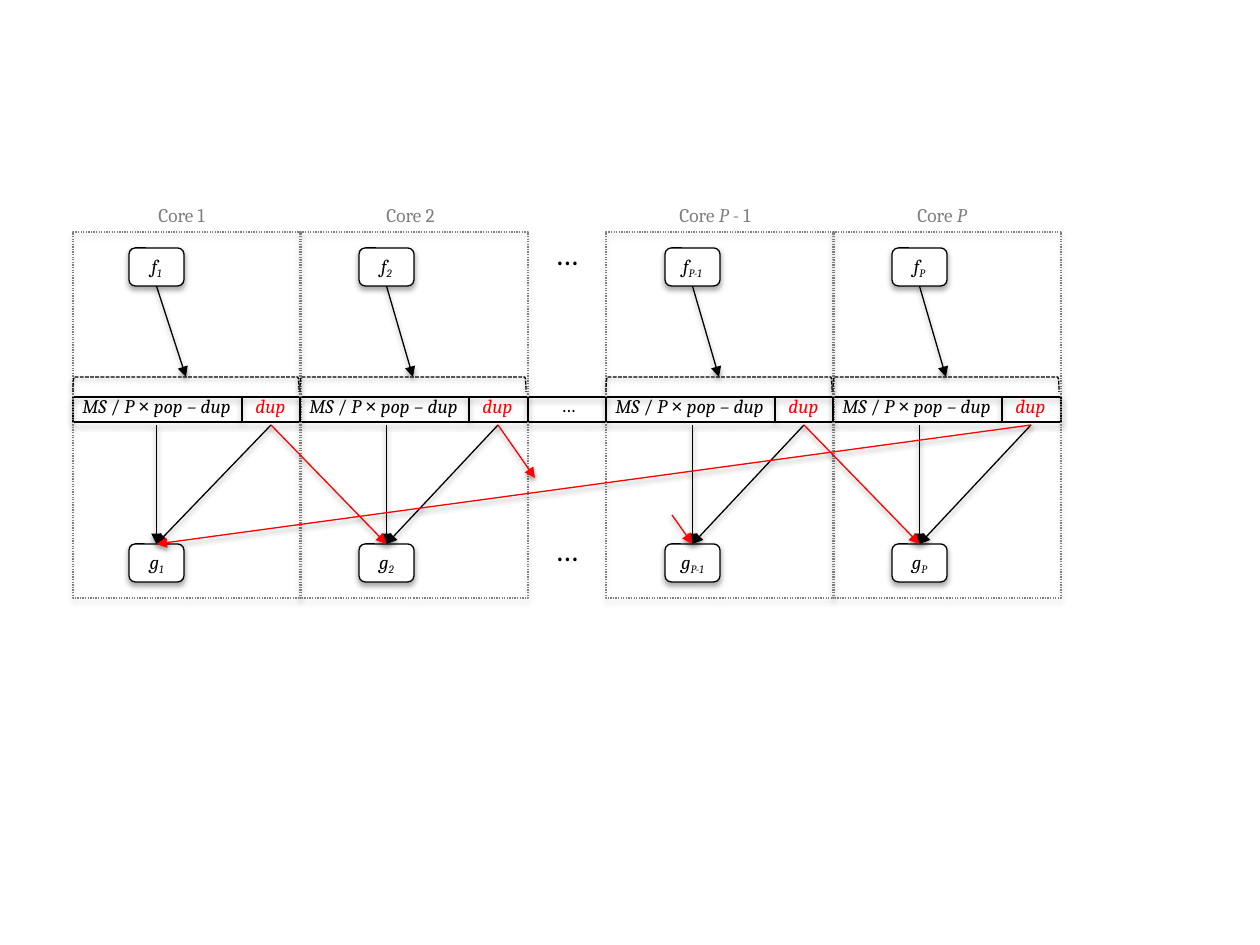
import pptx
import pptx.dml.color
import pptx.enum.dml
import pptx.enum.shapes
import pptx.enum.text
import pptx.oxml
import pptx.oxml.ns
import pptx.util

SCALE = 914400 / 126
BLACK = pptx.dml.color.RGBColor(0x00, 0x00, 0x00)
WHITE = pptx.dml.color.RGBColor(0xFF, 0xFF, 0xFF)
RED = pptx.dml.color.RGBColor(0xFF, 0x00, 0x00)
GRAY = pptx.dml.color.RGBColor(0x7F, 0x7F, 0x7F)
SHAPES = pptx.enum.shapes.MSO_SHAPE
DASHES = pptx.enum.dml.MSO_LINE
ALIGN = pptx.enum.text.PP_ALIGN

ITALIC = {"italic": True}
CORE_WIDTH = 228
NODE_WIDTH, NODE_HEIGHT = 55, 38
F_TOP, G_TOP = 248, 544
BUFFER_TOP, BUFFER_BOTTOM = 397, 422
OUTPUT_TOP = 425
BRACKET_TOP = 377
DUP_OFFSET = 198

# left edge, node left edge, node subscript, label left edge, label width, label runs
CORES = [
    (73, 129, "1", 146, 79, [("Core 1", {})]),
    (300, 359, "2", 374, 79, [("Core 2", {})]),
    (606, 665, "P-1", 667, 106, [("Core ", {}), ("P ", ITALIC), ("- 1", {})]),
    (833, 892, "P", 905, 83, [("Core ", {}), ("P", ITALIC)]),
]
SHARE_RUNS = [("MS", ITALIC), (" / ", {}), ("P ", ITALIC),
              ("×", {"name": "Arial"}), (" pop – dup", ITALIC)]


def emu(*pixels):
    """Turn pixel lengths into EMU."""
    return [pptx.util.Emu(round(value * SCALE)) for value in pixels]


def add_shadow(shape, opacity, distance):
    """Give a shape or connector a soft shadow straight below it."""
    shape._element.spPr.append(pptx.oxml.parse_xml(
        f'<a:effectLst {pptx.oxml.ns.nsdecls("a")}>'
        f'<a:outerShdw blurRad="39370" dist="{round(distance * 12700)}" dir="5400000" '
        f'rotWithShape="0"><a:srgbClr val="000000"><a:alpha val="{opacity * 1000}"/>'
        '</a:srgbClr></a:outerShdw></a:effectLst>'))


def write_runs(shape, runs, size, color, align):
    """Write one paragraph of formatted runs without wrapping."""
    frame = shape.text_frame
    frame.word_wrap = False
    paragraph = frame.paragraphs[0]
    paragraph.alignment = align
    for text, changes in runs:
        run = paragraph.add_run()
        run.text = text
        values = {"name": "Cambria", "size": pptx.util.Pt(size), "italic": False, **changes}
        baseline = values.pop("baseline", None)
        for key, value in values.items():
            setattr(run.font, key, value)
        run.font.color.rgb = color
        if baseline:
            run._r.get_or_add_rPr().set("baseline", str(baseline))


def add_label(slide, box, runs, size=11, color=BLACK, align=ALIGN.LEFT):
    """Add a text box."""
    shape = slide.shapes.add_textbox(*emu(*box))
    shape.text_frame.auto_size = pptx.enum.text.MSO_AUTO_SIZE.SHAPE_TO_FIT_TEXT
    write_runs(shape, runs, size, color, align)


def add_outline(slide, kind, box, color=BLACK, dash=None, fill=None, shadow=(35, 1.8)):
    """Add a preset shape with a thin outline."""
    shape = slide.shapes.add_shape(kind, *emu(*box))
    if fill is None:
        shape.fill.background()
    else:
        shape.fill.solid()
        shape.fill.fore_color.rgb = fill
    shape.line.color.rgb = color
    shape.line.width = pptx.util.Pt(0.75)
    shape.line.dash_style = dash
    add_shadow(shape, *shadow)
    return shape


def add_node(slide, left, top, letter, subscript):
    """Add a rounded box that names a function with its subscript."""
    box = (left, top, NODE_WIDTH, NODE_HEIGHT)
    shape = add_outline(slide, SHAPES.ROUNDED_RECTANGLE, box, fill=WHITE)
    shape.text_frame.vertical_anchor = pptx.enum.text.MSO_ANCHOR.MIDDLE
    runs = [(letter, ITALIC), (subscript, {"italic": True, "baseline": -25000})]
    write_runs(shape, runs, 11, BLACK, ALIGN.CENTER)


def add_line(slide, start, end, color=BLACK, arrow=True):
    """Add a straight line, with an arrowhead at its end if wanted."""
    line = slide.shapes.add_connector(
        pptx.enum.shapes.MSO_CONNECTOR.STRAIGHT, *emu(*start, *end))
    line.line.color.rgb = color
    line.line.width = pptx.util.Pt(0.75)
    if arrow:
        line.line._get_or_add_ln().append(pptx.oxml.parse_xml(
            f'<a:tailEnd {pptx.oxml.ns.nsdecls("a")} type="triangle"/>'))
    add_shadow(line, 38, 1.6)


def add_bracket(slide, left):
    """Add a dashed bracket that spans the buffer of one core."""
    thickness, span = 15, CORE_WIDTH - 2
    center_x, center_y = left + 113, BRACKET_TOP + thickness / 2
    box = (center_x - thickness / 2, center_y - span / 2, thickness, span)
    bracket = add_outline(slide, SHAPES.LEFT_BRACKET, box,
                          dash=DASHES.SQUARE_DOT, shadow=(38, 1.6))
    bracket.rotation = 90


def add_core(slide, left, node_left, subscript, label_left, label_width, label_runs):
    """Add one core: its frame, label, functions, buffer part and own arrows."""
    center = node_left + NODE_WIDTH / 2
    add_outline(slide, SHAPES.RECTANGLE, (left, 232, CORE_WIDTH, 366), GRAY, DASHES.ROUND_DOT)
    add_label(slide, (label_left, 197, label_width, 37), label_runs, color=GRAY)
    add_node(slide, node_left, F_TOP, "f", subscript)
    add_node(slide, node_left, G_TOP, "g", subscript)
    add_label(slide, (left - 3, 388, 178, 37), SHARE_RUNS)
    add_label(slide, (left + 170, 388, 55, 37), [("dup", ITALIC)], color=RED)
    add_bracket(slide, left)
    add_line(slide, (center, F_TOP + NODE_HEIGHT), (left + 113, BRACKET_TOP))
    for start in (center, left + DUP_OFFSET):
        add_line(slide, (start, OUTPUT_TOP), (center, G_TOP))


def main():
    """Build the slide and save it."""
    presentation = pptx.Presentation()
    presentation.slide_width, presentation.slide_height = emu(1260, 945)
    slide = presentation.slides.add_slide(presentation.slide_layouts[6])

    add_outline(slide, SHAPES.RECTANGLE,
                (73, BUFFER_TOP, 988, BUFFER_BOTTOM - BUFFER_TOP))
    for core in CORES:
        add_core(slide, *core)

    dividers = [core[0] + 169 for core in CORES] + [300, 528, 606, 833]
    for x in dividers:
        add_line(slide, (x, BUFFER_TOP), (x, BUFFER_BOTTOM), arrow=False)

    dups = [core[0] + DUP_OFFSET for core in CORES]
    centers = [core[1] + NODE_WIDTH / 2 for core in CORES]
    for source, target in ((0, 1), (2, 3), (3, 0)):
        add_line(slide, (dups[source], OUTPUT_TOP), (centers[target], G_TOP), RED)
    add_line(slide, (dups[1], OUTPUT_TOP), (535, 478), RED)
    add_line(slide, (672, 515), (centers[2], G_TOP), RED)

    for box, size in (((538, 228, 57, 50), 18), ((538, 524, 57, 50), 18),
                      ((546, 387, 45, 37), 11)):
        add_label(slide, box, [("…", {})], size, align=ALIGN.CENTER)

    presentation.save("out.pptx")


main()
